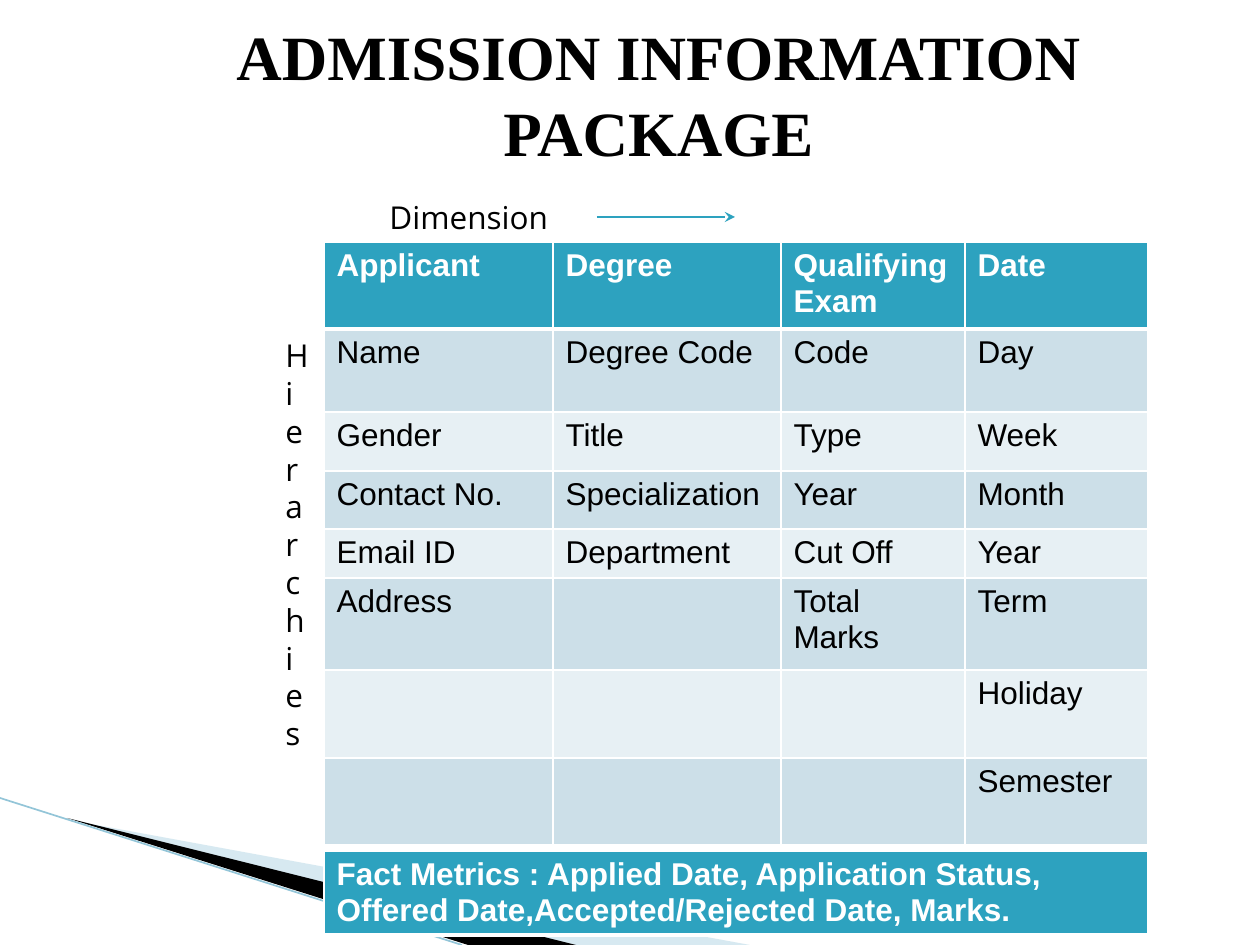
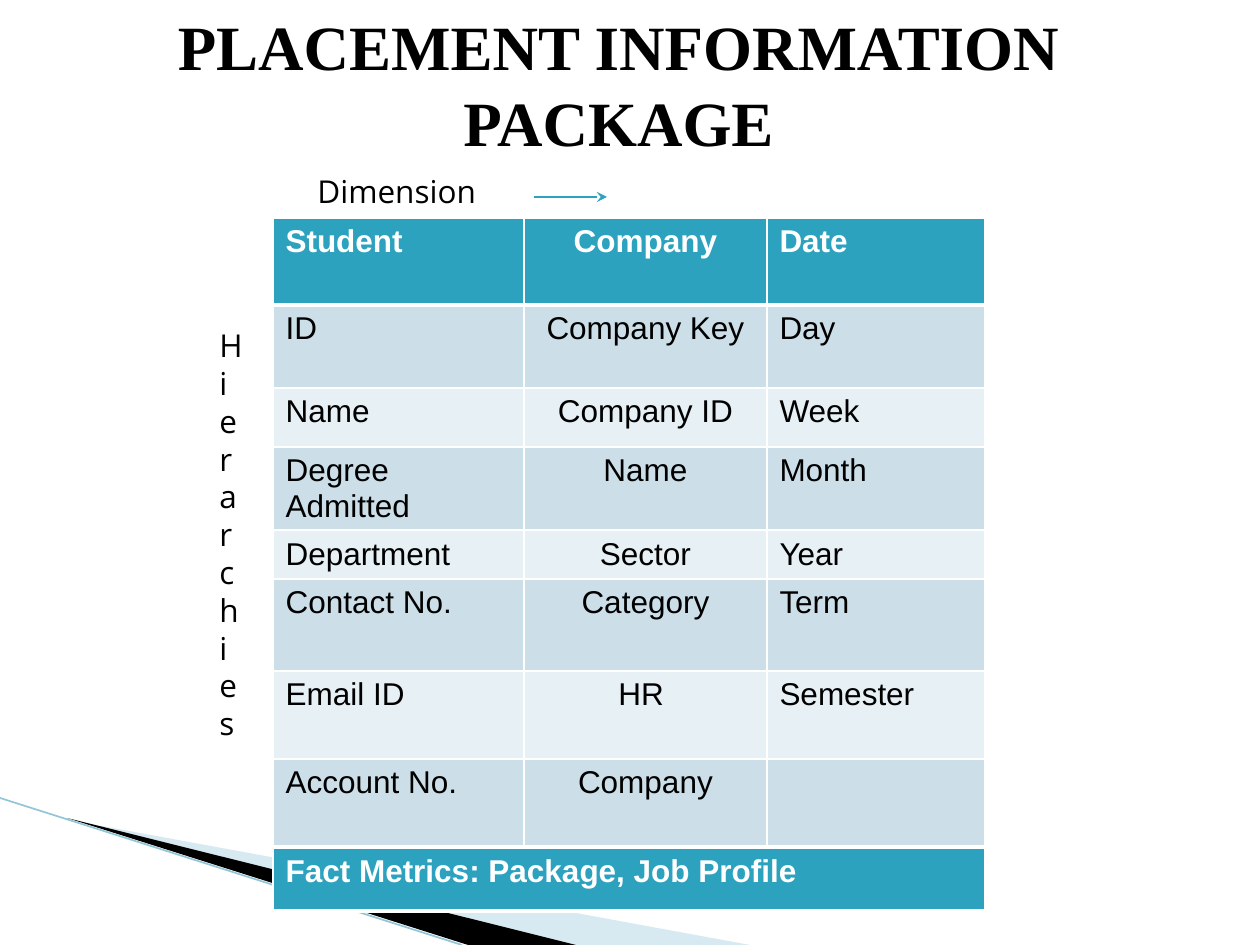
from lxml import etree
from pptx import Presentation
from pptx import util as u
from pptx.dml.color import RGBColor
from pptx.enum import shapes, text
from pptx.oxml.ns import qn

# Content
DECK = [
    {
        "title": "ADMISSION INFORMATION PACKAGE",
        "heads": ["Applicant", "Degree", "Qualifying Exam", "Date"],
        "rows": [
            ["Name", "Degree Code", "Code", "Day"],
            ["Gender", "Title", "Type", "Week"],
            ["Contact No.", "Specialization", "Year", "Month"],
            ["Email ID", "Department", "Cut Off", "Year"],
            ["Address", "", "Total Marks", "Term"],
            ["", "", "", "Holiday"],
            ["", "", "", "Semester"],
        ],
        "facts": "Fact Metrics : Applied Date, Application Status, "
                 "Offered Date,Accepted/Rejected Date, Marks.",
        "mid": [],
        "grid": (324, 242), "cols": [229, 228, 184, 183],
        "fact": (851, 84),
        "name": (81, 11, 1155, 165),
        "across": (377, 192, 357, 50), "down": (273, 330, 42, 432),
        "arrow": (597, 735, 217),
    },
    {
        "title": "PLACEMENT INFORMATION PACKAGE",
        "heads": ["Student", "Company", "Date"],
        "rows": [
            ["ID", "Company Key", "Day"],
            ["Name", "Company ID", "Week"],
            ["Degree\nAdmitted", "Name", "Month"],
            ["Department", "Sector", "Year"],
            ["Contact No.", "Category", "Term"],
            ["Email ID", "HR ", "Semester"],
            ["Account No.", "Company", ""],
        ],
        "facts": "Fact Metrics: Package, Job Profile",
        "mid": [1],
        "grid": (273, 218), "cols": [251, 243, 218],
        "fact": (848, 63),
        "name": (83, 1, 1071, 165),
        "across": (305, 166, 357, 50), "down": (207, 320, 42, 432),
        "arrow": (534, 607, 197),
    },
]
HIGH = [87, 83, 59, 58, 49, 92, 88, 87]
WEDGES = [
    ("mist", 40, [(69, 820), (750, 945), (575, 945)]),
    ("ink", 100, [(67, 818), (576, 945), (468, 945)]),
]
EDGE = (0, 798, 462, 945)

# Theme
THEME = {
    "ink": "000000", "paper": "FFFFFF", "teal": "2DA2BF",
    "dark": "CCDFE8", "pale": "E7F0F4", "mist": "9CCADC", "edge": "93C5D8",
    "title": {"name": "Times New Roman", "size": u.Pt(36), "bold": True},
    "label": {"name": "Open Sans", "size": u.Pt(18), "bold": False},
    "head": {"name": "Arial", "size": u.Pt(18), "bold": True},
    "body": {"name": "Arial", "size": u.Pt(18), "bold": False},
}
PX = 914400 / 126


def px(*vals):
    return [u.Emu(round(v * PX)) for v in vals]


def hue(key):
    return RGBColor.from_string(THEME[key])


def style(frame, kind, ink="ink", align=text.PP_ALIGN.LEFT, lead=None):
    for para in frame.paragraphs:
        para.alignment = align
        if lead:
            para.line_spacing = u.Pt(lead)
        for run in para.runs:
            for key, val in THEME[kind].items():
                setattr(run.font, key, val)
            run.font.color.rgb = hue(ink)


def rule(tree, ends, key, wide, tip=None):
    line = tree.add_connector(shapes.MSO_CONNECTOR.STRAIGHT, *px(*ends))
    line.line.color.rgb = hue(key)
    line.line.width = u.Pt(wide)
    if tip:
        etree.SubElement(line.line._get_or_add_ln(), qn("a:tailEnd"), type=tip)
    etree.SubElement(line.element.spPr, qn("a:effectLst"))
    return line


# Corner band, shared through the layout
def band(slide, layout):
    parts = []
    for key, alpha, pts in WEDGES:
        pen = slide.shapes.build_freeform(*pts[0], scale=PX)
        pen.add_line_segments(pts[1:], close=True)
        wedge = pen.convert_to_shape()
        wedge.shadow.inherit = False
        wedge.line.fill.background()
        wedge.fill.solid()
        wedge.fill.fore_color.rgb = hue(key)
        if alpha < 100:
            tint = wedge.element.spPr.find(".//" + qn("a:srgbClr"))
            etree.SubElement(tint, qn("a:alpha"), val=str(alpha * 1000))
        parts.append(wedge)
    parts.append(rule(slide.shapes, EDGE, "edge", 0.95))
    for part in parts:
        layout.shapes.element.append(part.element)


# Tables
def border(cell, widths):
    props = cell._tc.get_or_add_tcPr()
    for spot, (side, wide) in enumerate(zip("LRTB", widths)):
        ln = etree.Element(qn("a:ln" + side), w=str(u.Pt(wide)))
        fill = etree.SubElement(ln, qn("a:solidFill"))
        etree.SubElement(fill, qn("a:srgbClr"), val=THEME["paper"])
        props.insert(spot, ln)


def grid(slide, left, top, cols, high, rows, mid=()):
    spot = px(left, top, sum(cols), sum(high))
    table = slide.shapes.add_table(len(rows), len(cols), *spot).table
    table.first_row = table.horz_banding = False
    for col, wide in zip(table.columns, px(*cols)):
        col.width = wide
    for row, tall in zip(table.rows, px(*high)):
        row.height = tall
    for r, row in enumerate(rows):
        for c, words in enumerate(row):
            cell = table.cell(r, c)
            if words:
                cell.text = words
            cell.fill.solid()
            tone = "teal" if r == 0 else "dark" if r % 2 else "pale"
            cell.fill.fore_color.rgb = hue(tone)
            border(cell, (1, 1, 3 if r == 1 else 1, 3 if r == 0 else 1))
            align = text.PP_ALIGN.CENTER if c in mid else text.PP_ALIGN.LEFT
            kind, ink = ("body", "ink") if r else ("head", "paper")
            style(cell.text_frame, kind, ink, align)


# Labels and title
def label(slide, words, spot):
    frame = slide.shapes.add_textbox(*px(*spot)).text_frame
    frame.word_wrap = True
    frame.text = words
    style(frame, "label", lead=21.6)


def title(slide, words, spot):
    name = slide.shapes.title
    name.left, name.top, name.width, name.height = px(*spot)
    frame = name.text_frame
    frame.text = words
    frame.word_wrap = True
    frame.auto_size = text.MSO_AUTO_SIZE.NONE
    frame.vertical_anchor = text.MSO_ANCHOR.MIDDLE
    style(frame, "title", align=text.PP_ALIGN.CENTER, lead=43)


def main():
    prs = Presentation()
    prs.slide_width, prs.slide_height = px(1260, 945)
    layout = prs.slide_layouts[5]
    for page, item in enumerate(DECK):
        slide = prs.slides.add_slide(layout)
        if page == 0:
            band(slide, layout)
        title(slide, item["title"], item["name"])
        left, top = item["grid"]
        cols = item["cols"]
        grid(slide, left, top, cols, HIGH,
             [item["heads"], *item["rows"]], item["mid"])
        low, tall = item["fact"]
        grid(slide, left, low, [sum(cols)], [tall], [[item["facts"]]])
        label(slide, "Dimension", item["across"])
        label(slide, "Hierarchies", item["down"])
        start, end, y = item["arrow"]
        rule(slide.shapes, (start, y, end, y), "teal", 0.75, "stealth")
    prs.save("out.pptx")


if __name__ == "__main__":
    main()
